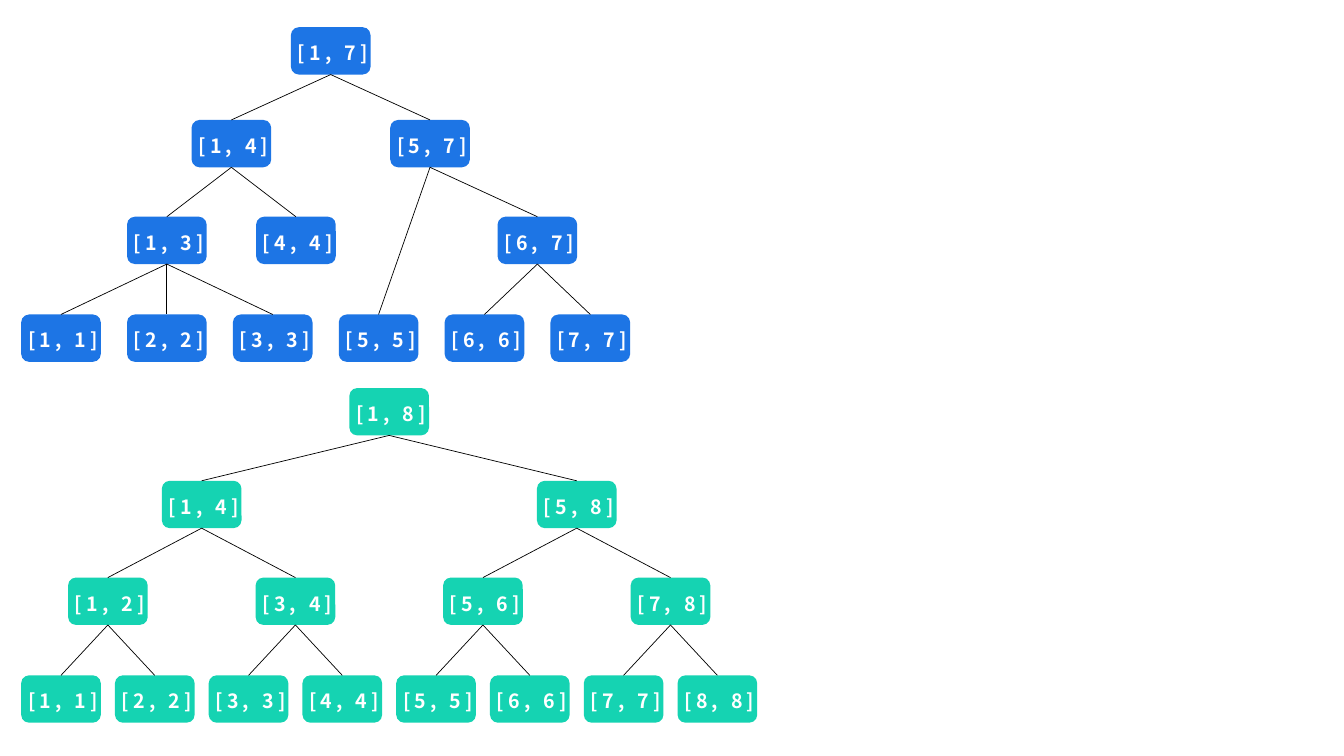
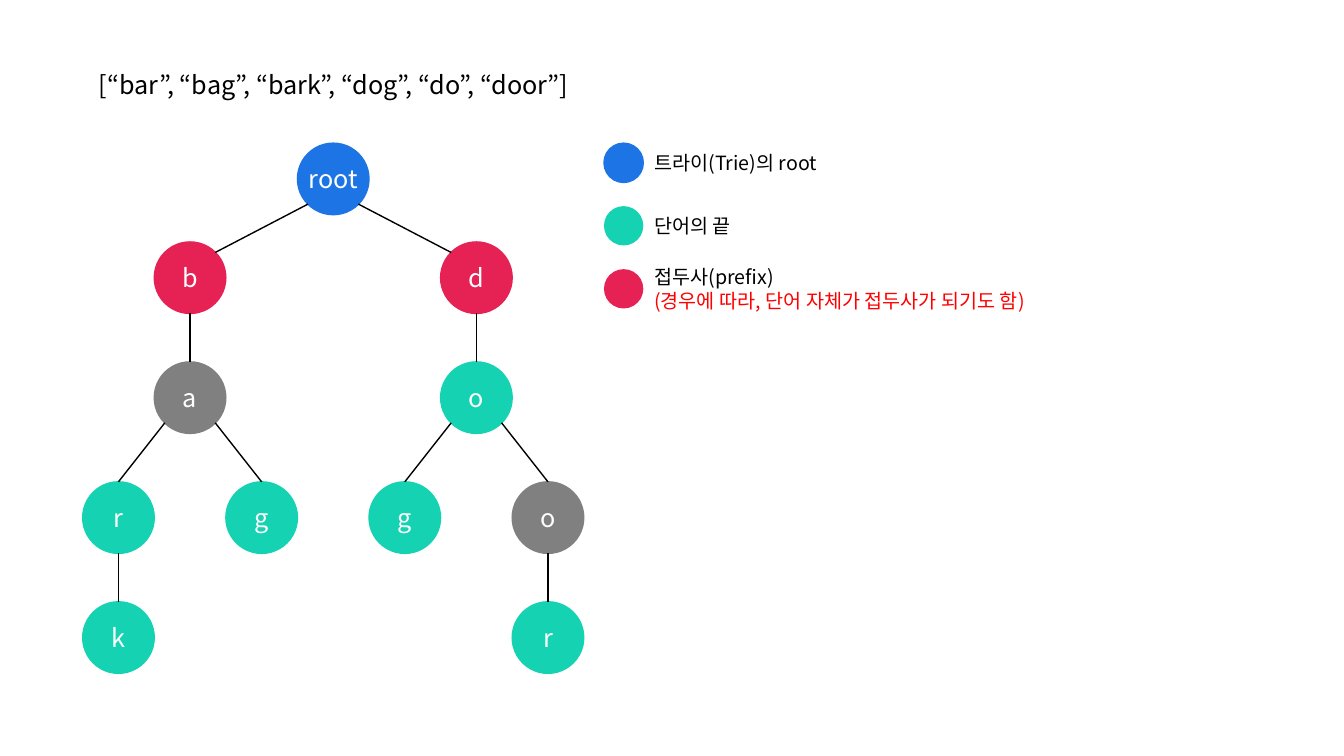
from lxml import etree
from pptx import Presentation, util as u
from pptx.dml.color import RGBColor
from pptx.enum import shapes as sh, text as tx
from pptx.oxml.ns import qn

THEME = {
    "font": "Noto Sans CJK KR", "node": 18, "small": 14,
    "blue": "1D75E5", "mint": "15D3B2", "rose": "E62154", "gray": "808080",
    "white": "FFFFFF", "black": "000000", "red": "FF0000",
}
INCH = u.Inches


def write(box, parts, size, align="CENTER", bold=False, gap=0, pad=None, wrap=True):
    frame = box.text_frame
    look = {"word_wrap": wrap, "vertical_anchor": tx.MSO_ANCHOR.MIDDLE}
    if pad:
        sides = ("left", "top", "right", "bottom")
        look.update({f"margin_{side}": INCH(n) for side, n in zip(sides, pad)})
    for key, val in look.items():
        setattr(frame, key, val)
    para = frame.paragraphs[0]
    para.alignment = getattr(tx.PP_ALIGN, align)
    for i, (words, tint) in enumerate(parts):
        if i:
            para.add_line_break()
        run = para.add_run()
        run.text = words
        for key, val in {"size": u.Pt(THEME[size]), "name": THEME["font"], "bold": bold}.items():
            setattr(run.font, key, val)
        run.font.color.rgb = RGBColor.from_string(THEME[tint])
        props = run._r.get_or_add_rPr()
        etree.SubElement(props, qn("a:ea"), typeface=THEME["font"])
        if gap:
            props.set("spc", str(gap))


def draw(item, tint, width=0, line=False):
    color = RGBColor.from_string(THEME[tint])
    if line:
        etree.SubElement(item._element.spPr, qn("a:effectLst"))
    else:
        item.shadow.inherit = False
        item.fill.solid()
        item.fill.fore_color.rgb = color
    if width:
        item.line.color.rgb = color
        item.line.width = u.Pt(width)
    else:
        item.line.fill.background()
    return item


deck = Presentation()
deck.slide_width, deck.slide_height = INCH(13.33), INCH(7.5)
blank = deck.slide_layouts[6]
STRAIGHT = sh.MSO_CONNECTOR.STRAIGHT
OVAL = sh.MSO_SHAPE.OVAL

page = deck.slides.add_slide(blank).shapes
steps = [0, 0.92, 1.88, 2.85]
trees = [
    ("blue", 0.27, 1.05, [1, 2, 3, 5, 6, 7], {(4, 4): (2.54, 2), (5, 7): (3.87, 1)}, [
        ((1, 3), 2, [(1, 1), (2, 2), (3, 3)]),
        ((6, 7), 2, [(6, 6), (7, 7)]),
        ((1, 4), 1, [(1, 3), (4, 4)]),
        ((5, 7), 1, [(5, 5), (6, 7)]),
        ((1, 7), 0, [(1, 4), (5, 7)]),
    ]),
    ("mint", 3.85, 0.93, range(1, 9), {}, [
        ((1, 2), 2, [(1, 1), (2, 2)]),
        ((3, 4), 2, [(3, 3), (4, 4)]),
        ((5, 6), 2, [(5, 5), (6, 6)]),
        ((7, 8), 2, [(7, 7), (8, 8)]),
        ((1, 4), 1, [(1, 2), (3, 4)]),
        ((5, 8), 1, [(5, 6), (7, 8)]),
        ((1, 8), 0, [(1, 4), (5, 8)]),
    ]),
]
for tint, top, pitch, leaves, spots, links in trees:
    for i, n in enumerate(leaves):
        spots[n, n] = (0.21 + i * pitch, 3)
    for root, row, kids in links:
        spots.setdefault(root, ((spots[kids[0]][0] + spots[kids[-1]][0]) / 2, row))
    boxes = {}
    for (low, high), (x, row) in spots.items():
        box = page.add_shape(sh.MSO_SHAPE.ROUNDED_RECTANGLE, INCH(x), INCH(top + steps[row]),
                             INCH(0.79), INCH(0.47))
        draw(box, tint)
        write(box, [(f"[{low}, {high}]", "white")], "small", bold=True, gap=300,
              pad=(0.04, 0.08, 0, 0.04), wrap=False)
        boxes[low, high] = box
    for root, row, kids in links:
        for kid in kids:
            wire = page.add_connector(STRAIGHT, 0, 0, 0, 0)
            wire.begin_connect(boxes[root], 2)
            wire.end_connect(boxes[kid], 0)
            draw(wire, "black", 0.5, line=True)

page = deck.slides.add_slide(blank).shapes
head = page.add_textbox(INCH(0.8), INCH(0.64), INCH(5.02), INCH(0.39))
write(head, [("[“bar”, “bag”, “bark”, “dog”, “do”, “door”]", "black")], "node")

size, edge = 0.71, 0.25
rows = [1.42, 2.4, 3.59, 4.78, 5.97]
trie = [
    ("root", "blue", 3, 0, None),
    ("b", "rose", 1, 1, 0),
    ("d", "rose", 5, 1, 0),
    ("a", "gray", 1, 2, 1),
    ("o", "mint", 5, 2, 2),
    ("r", "mint", 0, 3, 3),
    ("g", "mint", 2, 3, 3),
    ("g", "mint", 4, 3, 4),
    ("o", "gray", 6, 3, 4),
    ("k", "mint", 0, 4, 5),
    ("r", "mint", 6, 4, 8),
]
mids = []
for word, tint, col, row, root in trie:
    left, top = 0.82 + col * size, rows[row]
    ball = page.add_shape(OVAL, INCH(left), INCH(top), INCH(size), INCH(size))
    draw(ball, tint, 1)
    write(ball, [(word, "white")], "node", pad=(0, 0, 0, 0), wrap=False)
    x, y = left + size / 2, top + size / 2
    mids.append((x, y))
    if root is None:
        continue
    px, py = mids[root]
    side = (col > trie[root][2]) - (col < trie[root][2])
    start = (px + side * edge, py + (edge if side else size / 2))
    end = (x - side * edge, y - edge) if root == 0 else (x, top)
    wire = page.add_connector(STRAIGHT, *map(INCH, start + end))
    draw(wire, "black", 1, line=True)

legend = [
    ("blue", 1, 2.83, [("트라이(Trie)의 root", "black")]),
    ("mint", 0, 3.5, [("단어의 끝", "black")]),
    ("rose", 0, 4.01, [("접두사(prefix)", "black"),
                       ("(경우에 따라, 단어 자체가 접두사가 되기도 함)", "red")]),
]
for i, (tint, width, span, parts) in enumerate(legend):
    top = INCH(1.42 + i * 0.625)
    dot = page.add_shape(OVAL, INCH(5.99), top, INCH(0.39), INCH(0.39))
    draw(dot, tint, width)
    note = page.add_textbox(INCH(6.39), top, INCH(span), INCH(0.39))
    write(note, parts, "small", align="LEFT")

deck.save("out.pptx")
